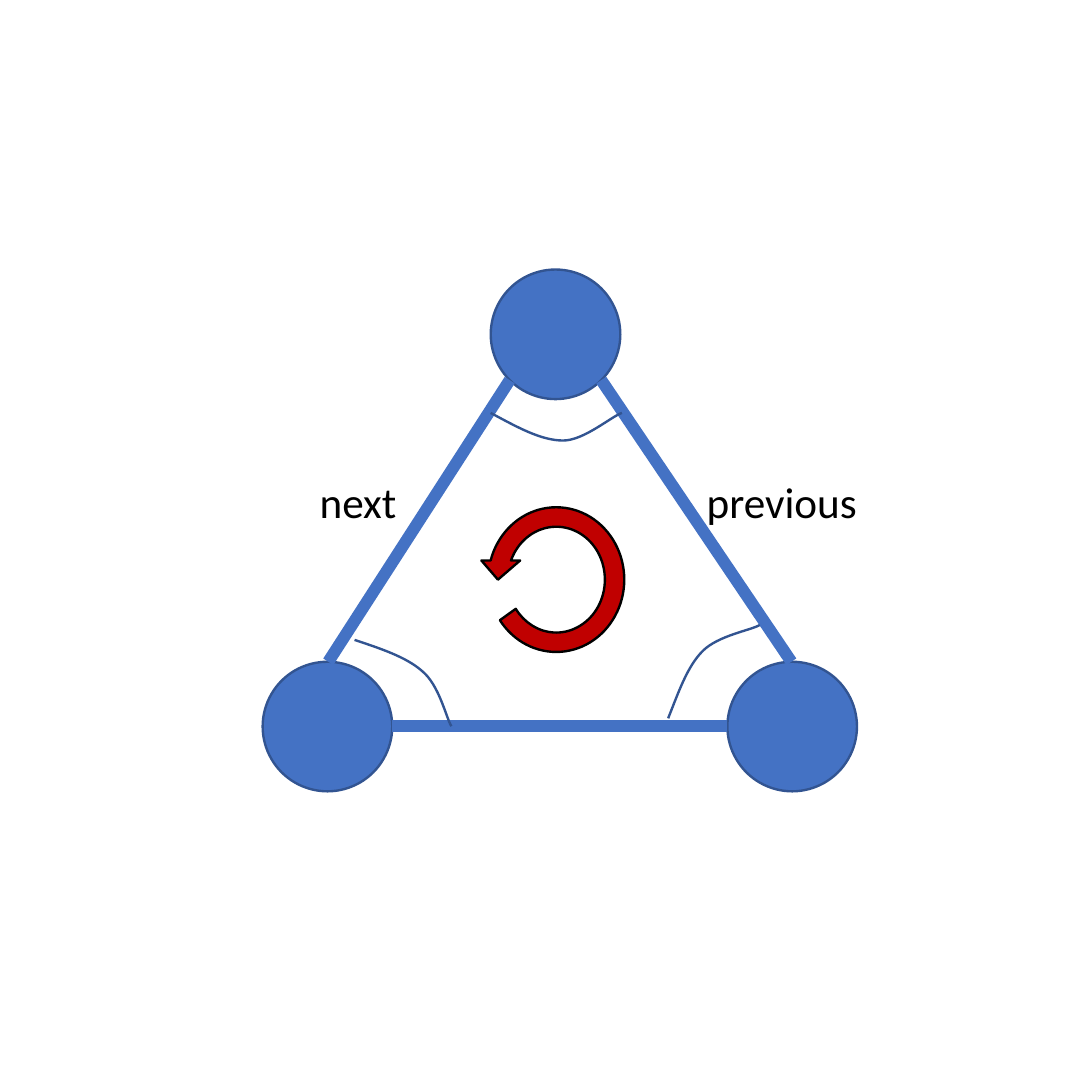
from math import cos, radians, sin

from pptx import Presentation
from pptx.dml.color import RGBColor
from pptx.enum.shapes import MSO_CONNECTOR, MSO_SHAPE
from pptx.enum.text import MSO_AUTO_SIZE
from pptx.oxml.ns import qn
from pptx.util import Inches, Pt

OVAL = MSO_SHAPE.OVAL
CIRCULAR_ARROW = MSO_SHAPE.CIRCULAR_ARROW
STRAIGHT = MSO_CONNECTOR.STRAIGHT
FIT_SHAPE = MSO_AUTO_SIZE.SHAPE_TO_FIT_TEXT

SLIDE_SIZE = 6.32
VERTEX_SIZE = 0.75


def color(value):
    return RGBColor.from_string(value)


def turn(point, center, degrees):
    """Turn a point clockwise about a center."""
    angle = radians(degrees)
    x, y = point[0] - center[0], point[1] - center[1]
    return (center[0] + x * cos(angle) - y * sin(angle),
            center[1] + x * sin(angle) + y * cos(angle))


class TriangleDiagram:
    blue, outline = "4472C4", "325491"
    red, black = "C00000", "000000"
    font = {"name": "Calibri", "size": Pt(18)}
    text_frame = {"margin_left": 0, "margin_right": 0, "margin_top": 0,
                  "margin_bottom": 0, "word_wrap": False, "auto_size": FIT_SHAPE}

    def __init__(self, slide):
        self.shapes = slide.shapes

    def stroke(self, shape, line_color, width=1):
        shape.line.color.rgb = color(line_color)
        shape.line.width = Pt(width)

    def preset(self, kind, box, fill, line_color):
        shape = self.shapes.add_shape(kind, *map(Inches, box))
        shape.shadow.inherit = False
        shape.fill.solid()
        shape.fill.fore_color.rgb = color(fill)
        self.stroke(shape, line_color)
        return shape

    def vertex(self, left, top):
        self.preset(OVAL, (left, top, VERTEX_SIZE, VERTEX_SIZE), self.blue, self.outline)

    def edge(self, start, end):
        connector = self.shapes.add_connector(STRAIGHT, *map(Inches, start + end))
        self.stroke(connector, self.blue, 5)
        properties = connector._element.spPr
        properties.append(properties.makeelement(qn("a:effectLst"), {}))

    def label(self, text, *box):
        text_box = self.shapes.add_textbox(*map(Inches, box))
        for name, value in self.text_frame.items():
            setattr(text_box.text_frame, name, value)
        run = text_box.text_frame.paragraphs[0].add_run()
        run.text = text
        for name, value in self.font.items():
            setattr(run.font, name, value)
        run.font.color.rgb = color(self.black)

    def angle(self, knots, center=(0, 0), rotation=0):
        """Draw two joined cubic curves through seven points in a turned box."""
        points = [tuple(map(Inches, turn(knot, center, -rotation))) for knot in knots]
        builder = self.shapes.build_freeform(*points[0])
        builder.add_line_segments(points[1:], close=False)
        shape = builder.convert_to_shape()
        shape.rotation = rotation
        shape.shadow.inherit = False
        shape.fill.background()
        self.stroke(shape, self.outline)

        # Merge every three line segments into one cubic curve
        segments = list(shape._element.iter(qn("a:lnTo")))
        for first in range(0, len(segments), 3):
            curve = segments[first].makeelement(qn("a:cubicBezTo"), {})
            segments[first].addprevious(curve)
            for segment in segments[first:first + 3]:
                curve.append(segment[0])
                segment.getparent().remove(segment)

    def rotation_arrow(self, *box):
        arrow = self.preset(CIRCULAR_ARROW, box, self.red, self.black)
        for index, value in enumerate((0.125, 11.423, 204.577, 21.46, 0.125)):
            arrow.adjustments[index] = value
        arrow._element.spPr.get_or_add_xfrm().set("flipH", "1")


def main():
    presentation = Presentation()
    presentation.slide_width = presentation.slide_height = Inches(SLIDE_SIZE)
    slide = presentation.slides.add_slide(presentation.slide_layouts[6])
    diagram = TriangleDiagram(slide)

    # Vertices
    for position in ((2.84, 1.56), (1.52, 3.83), (4.21, 3.83)):
        diagram.vertex(*position)

    # Edges
    diagram.edge((2.95, 2.2), (1.9, 3.83))
    diagram.edge((3.48, 2.2), (4.58, 3.83))
    diagram.edge((4.21, 4.2), (2.27, 4.2))

    # Edge labels
    diagram.label("next", 1.85, 2.75, 0.45, 0.3)
    diagram.label("previous", 4.09, 2.75, 0.88, 0.3)

    # Corner angles
    diagram.angle(((2.84, 2.39), (2.99, 2.47), (3.13, 2.55), (3.26, 2.55),
                   (3.38, 2.55), (3.54, 2.41), (3.6, 2.39)))
    diagram.angle(((2.05, 3.7), (2.2, 3.75), (2.35, 3.8), (2.44, 3.88),
                   (2.54, 3.96), (2.58, 4.15), (2.61, 4.2)), (2.38, 3.9), 41.8)
    diagram.angle(((3.87, 4.16), (3.93, 4.01), (3.98, 3.86), (4.07, 3.77),
                   (4.16, 3.68), (4.35, 3.65), (4.4, 3.62)), (4.09, 3.84), 314.6)

    # Direction of travel
    diagram.rotation_arrow(2.77, 2.88, 0.9, 0.95)

    presentation.save("out.pptx")


if __name__ == "__main__":
    main()
